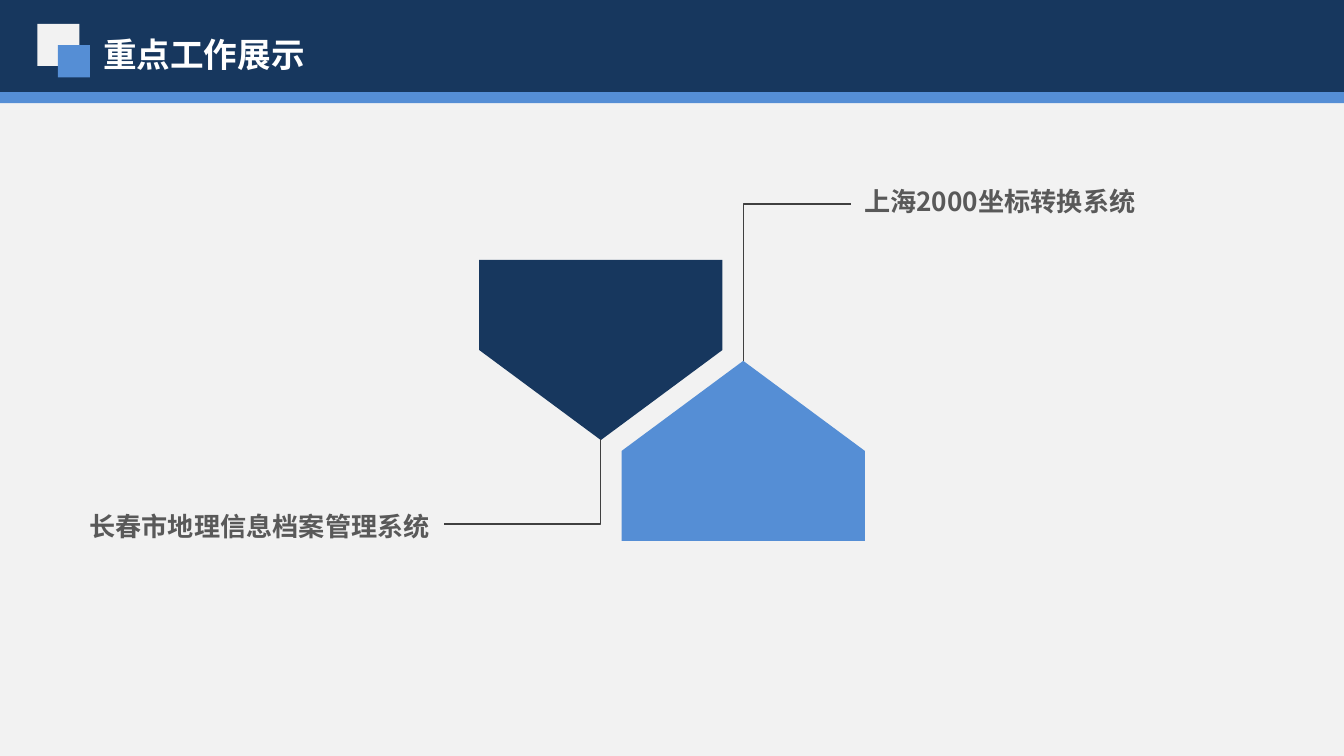
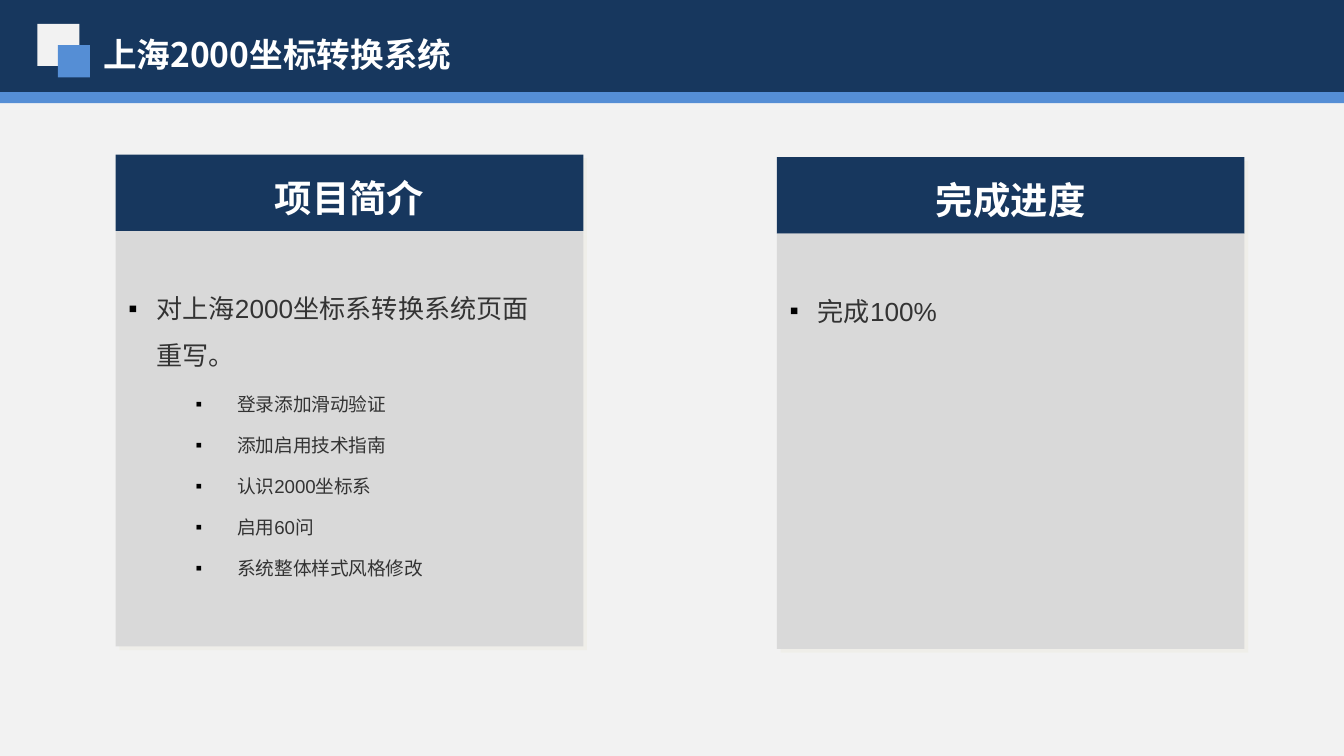
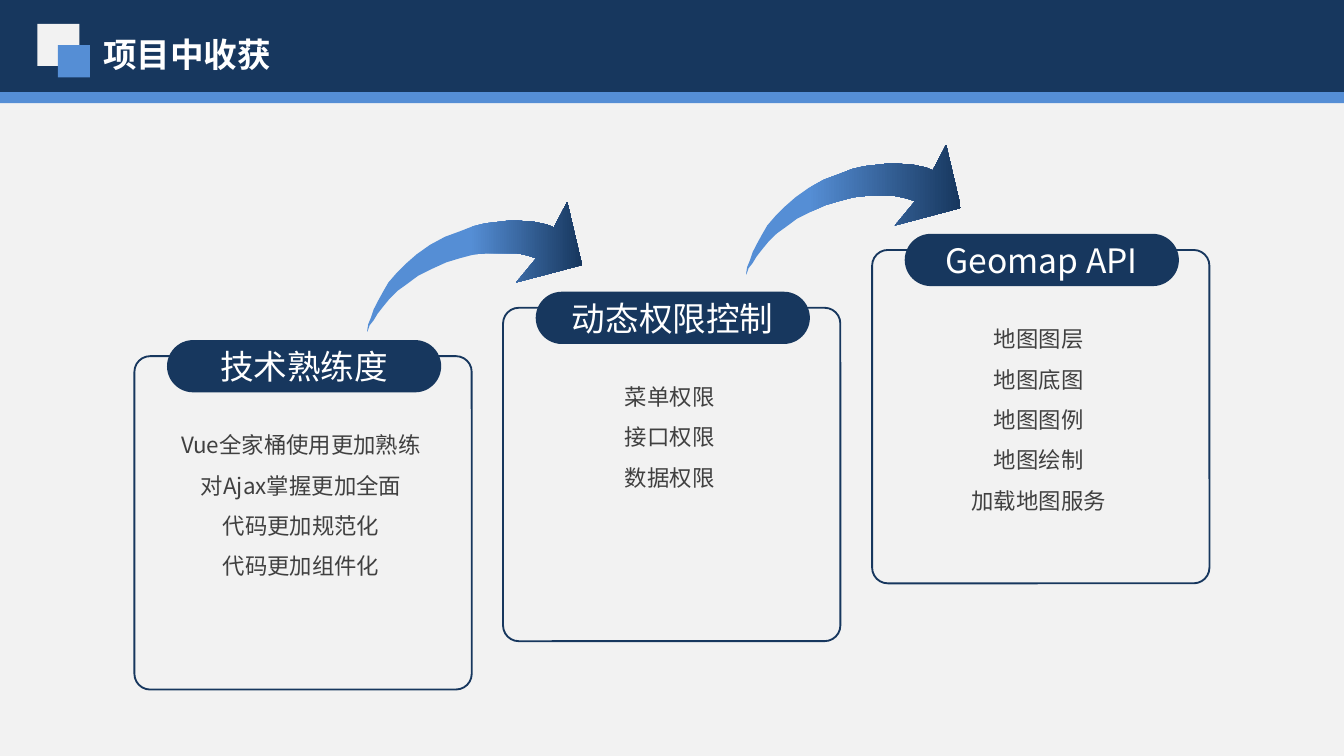
"""Build three work-report slides: key projects, one project's status and lessons learned."""
from lxml import etree
from pptx import Presentation
from pptx import util as u
from pptx.dml import color
from pptx.enum import shapes, text
from pptx.oxml import ns

Pt = u.Pt
SHAPE = shapes.MSO_SHAPE
ALIGN = text.PP_ALIGN
SANS, ARIAL = "Noto Sans CJK SC", "Arial"
COLORS = {
    "navy": "17375E", "blue": "558ED5", "paper": "F2F2F2", "white": "FFFFFF",
    "panel": "D9D9D9", "shadow": "EEECE1", "black": "000000",
    "ink": "333333", "line": "404040", "label": "595959",
}

PROJECTS_TITLE = "重点工作展示"
PLATES = [((349.9, 176.4), 270, "blue"), ((273.6, 122.4), 90, "navy")]
PLATE_SIZE = (96.5, 130.3)
PROJECTS = [
    ("长春市地理信息档案管理系统", (28, 270, 209.5, 28), ALIGN.RIGHT, (321.8, 235.4), (237.6, 280.8)),
    ("上海2000坐标转换系统", (455.8, 95.8, 215.3, 28), ALIGN.LEFT, (398.2, 193.7), (455.8, 109.4)),
]

STATUS_TITLE = "上海2000坐标转换系统"
PANELS = [
    ("项目简介", (62, 82.8), [
        (0, "对上海2000坐标系转换系统页面重写。"),
        (1, "登录添加滑动验证"),
        (1, "添加启用技术指南"),
        (1, "认识2000坐标系"),
        (1, "启用60问"),
        (1, "系统整体样式风格修改"),
    ]),
    ("完成进度", (416.2, 84.2), [(0, "完成100%")]),
]
PANEL_WIDTH, PANEL_HEAD, PANEL_BODY = 250.5, 41, 222.5
BULLET_LEVELS = [(15, 15, 14), (58.3, 22.3, 10)]

LESSONS_TITLE = "项目中收获"
LESSONS = [
    ("技术熟练度", (72, 190.8), ["Vue全家桶使用更加熟练", "对Ajax掌握更加全面", "代码更加规范化", "代码更加组件化"]),
    ("动态权限控制", (269.5, 164.9), ["菜单权限", "接口权限", "数据权限"]),
    ("Geomap API", (467.2, 133.9), ["地图图层", "地图底图", "地图图例", "地图绘制", "加载地图服务"]),
]
ARROWS = [((196.6, 108.2), 0.48), ((399.6, 77.6), 0.29)]
ARROW_OUTLINE = [
    (0, 69.8), (0.7, 68.4), (1.4, 66.2), (3.6, 63.4), (5.8, 59.8), (8.6, 56.2), (12.2, 51.8),
    (16.6, 47.5), (21.6, 43.9), (27.4, 39.6), (34.6, 36), (42.5, 32.4), (49.7, 30.2),
    (57.6, 28.1), (64.1, 27.4), (79.9, 27.4), (83.5, 28.1), (86.4, 28.8), (90.7, 30.2),
    (79.9, 43.2), (115.2, 33.8), (107.3, 0), (100.1, 13.7), (96.5, 12.2), (90, 10.8),
    (81.4, 10.1), (75.6, 10.1), (69.8, 10.8), (63.4, 11.5), (56.9, 13), (49.7, 15.8),
    (41.8, 18.7), (33.8, 23), (26.6, 28.1), (20.9, 33.1), (15.8, 38.2), (11.5, 43.2),
    (8.6, 48.2), (5.8, 53.3), (3.6, 57.6), (2.2, 61.9), (0.7, 65.5),
]


def rgb(name):
    return color.RGBColor.from_string(COLORS[name])


def add_node(parent, tag, **attributes):
    return etree.SubElement(parent, ns.qn(tag), attributes)


def style_para(para, size, ink, bold=False, align=ALIGN.LEFT, font=SANS):
    para.alignment = align
    for span in para.runs:
        span.font.size, span.font.bold, span.font.name = Pt(size), bold, font
        span.font.color.rgb = rgb(ink)
        add_node(span._r.get_or_add_rPr(), "a:ea", typeface=font)


def add_block(slide, box, fill=None, kind=SHAPE.RECTANGLE, line=None, adjust=None):
    shape = slide.shapes.add_shape(kind, *map(Pt, box))
    shape.shadow.inherit = False
    if fill:
        shape.fill.solid()
        shape.fill.fore_color.rgb = rgb(fill)
    else:
        shape.fill.background()
    if line:
        shape.line.color.rgb = rgb(line)
        shape.line.width = Pt(1)
    else:
        shape.line.fill.background()
    if adjust is not None:
        shape.adjustments[0] = adjust
    return shape


def add_heading(shape, words, size, bold=False):
    frame = shape.text_frame
    frame.text = words
    frame.word_wrap = False
    frame.vertical_anchor = text.MSO_ANCHOR.MIDDLE
    style_para(frame.paragraphs[0], size, "white", bold, ALIGN.CENTER)
    return frame.paragraphs[0]


def add_text(slide, box, lines, insets=(7.2, 3.6, 7.2, 3.6)):
    frame = slide.shapes.add_textbox(*map(Pt, box)).text_frame
    frame.word_wrap = True
    frame.margin_left, frame.margin_top, frame.margin_right, frame.margin_bottom = map(Pt, insets)
    frame.text = "\n".join(lines)
    return frame.paragraphs


def add_elbow(slide, start, end):
    dx, dy = end[0] - start[0], end[1] - start[1]
    middle_x, middle_y = start[0] + dx / 2, start[1] + dy / 2
    ends = (middle_x - dy / 2, middle_y + dx / 2, middle_x + dy / 2, middle_y - dx / 2)
    elbow = slide.shapes.add_connector(shapes.MSO_CONNECTOR.ELBOW, *map(Pt, ends))
    elbow.line.color.rgb = rgb("line")
    elbow.line.width = Pt(0.75)
    properties = elbow._element.spPr
    properties.find(ns.qn("a:xfrm")).set("rot", "5400000")
    properties.find(ns.qn("a:prstGeom")).set("prst", "bentConnector2")
    add_node(properties, "a:effectLst")


def add_shadow(shape):
    effects = shape._element.spPr.find(ns.qn("a:effectLst"))
    shadow = add_node(effects, "a:outerShdw", dist=str(Pt(2.8)), dir="2700000", algn="tl", rotWithShape="0")
    tint = add_node(shadow, "a:srgbClr", val=COLORS["shadow"])
    add_node(tint, "a:alpha", val="50000")


def add_bullet(para, level):
    indent, hanging, size = BULLET_LEVELS[level]
    para.level = level
    para.line_spacing = 1.5
    properties = para._p.get_or_add_pPr()
    properties.set("marL", str(Pt(indent)))
    properties.set("indent", str(-Pt(hanging)))
    add_node(add_node(properties, "a:spcAft"), "a:spcPct", val="40000")
    add_node(add_node(properties, "a:buClr"), "a:srgbClr", val=COLORS["black"])
    add_node(properties, "a:buFont", typeface=ARIAL)
    add_node(properties, "a:buChar", char="▪")
    style_para(para, size, "ink", font=ARIAL)


def add_arrow(slide, corner, blend_start):
    points = [(Pt(x), Pt(y)) for x, y in ARROW_OUTLINE]
    builder = slide.shapes.build_freeform(*points[0])
    builder.add_line_segments(points[1:], close=True)
    arrow = builder.convert_to_shape(*map(Pt, corner))
    arrow.shadow.inherit = False
    arrow.line.fill.background()
    arrow.fill.gradient()
    arrow.fill.gradient_angle = 0
    for stop, name, position in zip(arrow.fill.gradient_stops, ("blue", "navy"), (blend_start, 1)):
        stop.color.rgb = rgb(name)
        stop.position = position


def add_slide(deck, title):
    slide = deck.slides.add_slide(deck.slide_layouts[6])
    add_block(slide, (0, 0, 720, 54.8), "navy")
    add_block(slide, (0, 49.4, 720, 5.8), "blue")
    style_para(add_text(slide, (48.2, 14.4, 232, 29), [title])[0], 18, "white", True)
    add_block(slide, (20, 12.8, 22.5, 22.5), "paper")
    add_block(slide, (31, 24.2, 17.2, 17.2), "blue")
    return slide


def build_projects(deck):
    slide = add_slide(deck, PROJECTS_TITLE)
    for corner, angle, fill in PLATES:
        add_block(slide, corner + PLATE_SIZE, fill, SHAPE.PENTAGON).rotation = angle
    for name, box, align, start, end in PROJECTS:
        add_elbow(slide, start, end)
        para = add_text(slide, box, [name])[0]
        para.space_after = Pt(6)
        style_para(para, 14, "label", True, align)


def build_status(deck):
    slide = add_slide(deck, STATUS_TITLE)
    for heading, (left, top), items in PANELS:
        head = add_block(slide, (left, top, PANEL_WIDTH, PANEL_HEAD), "navy")
        add_heading(head, heading, 20, True).line_spacing = 1.2
        body = add_block(slide, (left, top + PANEL_HEAD, PANEL_WIDTH, PANEL_BODY), "panel")
        for part in (head, body):
            add_shadow(part)
        paras = add_text(slide, (left + 6.8, top + 57, 239.8, 187.2),
                         [words for _, words in items], (0, 8.6, 11.5, 5.8))
        for para, (level, _) in zip(paras, items):
            add_bullet(para, level)


def build_lessons(deck):
    slide = add_slide(deck, LESSONS_TITLE)
    for corner, blend_start in ARROWS:
        add_arrow(slide, corner, blend_start)
    for heading, (left, top), lines in LESSONS:
        add_block(slide, (left, top, 180.7, 178.6), None, SHAPE.ROUNDED_RECTANGLE, "navy", 0.047)
        pill = add_block(slide, (left + 17.5, top - 8.6, 146.9, 28), "navy",
                         SHAPE.ROUNDED_RECTANGLE, adjust=0.5)
        add_heading(pill, heading, 18)
        for para in add_text(slide, (left + 5.8, top + 31, 167, 134), lines, (3.6, 2.2, 3.6, 2.2)):
            para.line_spacing = 1.5
            style_para(para, 12, "line", align=ALIGN.CENTER)


def main():
    deck = Presentation()
    deck.slide_width, deck.slide_height = Pt(720), Pt(405)
    backdrop = deck.slide_master.background.fill
    backdrop.solid()
    backdrop.fore_color.rgb = rgb("paper")
    build_projects(deck)
    build_status(deck)
    build_lessons(deck)
    deck.save("out.pptx")


if __name__ == "__main__":
    main()
